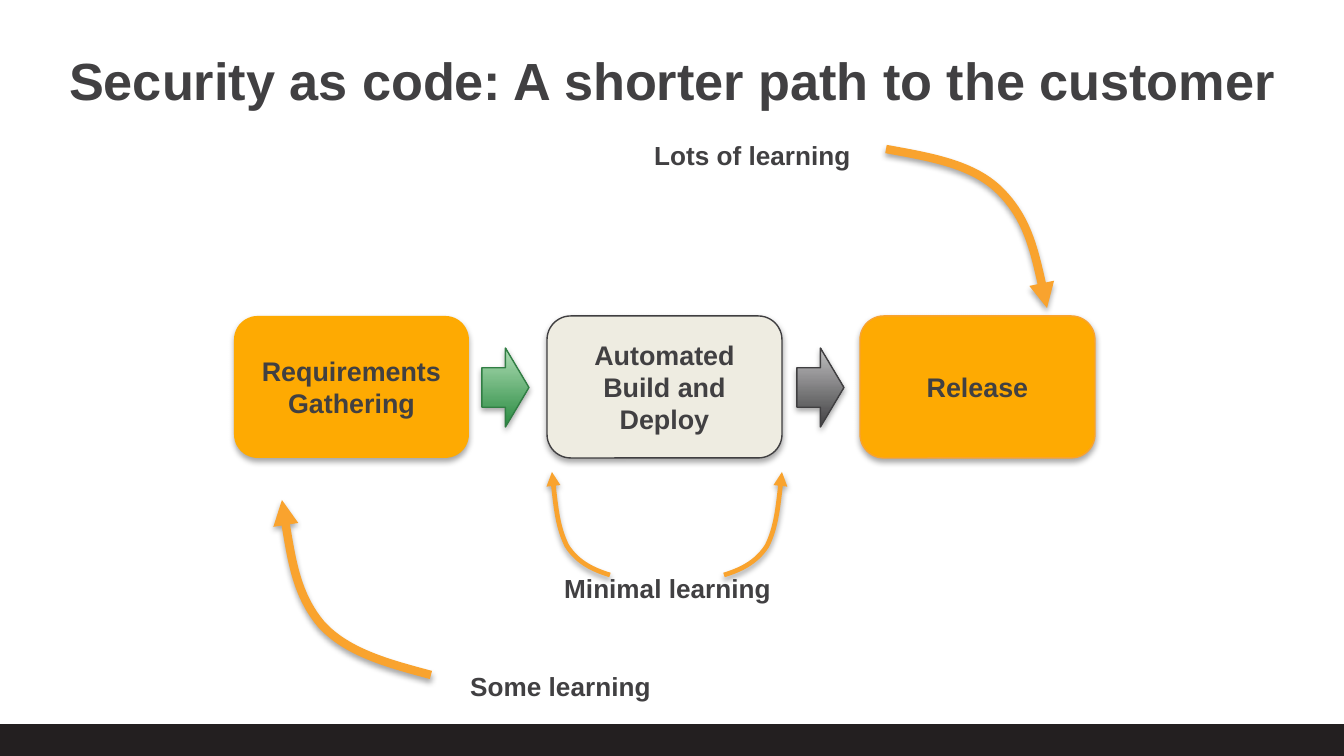
"""Build a slide showing the learning loops around an automated delivery flow."""
from typing import NamedTuple, Optional

from lxml import etree
from pptx import Presentation
from pptx import util as u
from pptx.dml.color import RGBColor
from pptx.enum import shapes, text
from pptx.oxml.ns import qn

SCALE = u.Inches(10) / 1344
INK = RGBColor(0x41, 0x40, 0x42)
EDGE = RGBColor(0x40, 0x3F, 0x41)
AMBER = RGBColor(0xFE, 0xAA, 0x02)
ORANGE = RGBColor(0xF9, 0xA3, 0x2E)
CREAM = RGBColor(0xEE, 0xEC, 0xE1)
GREEN = RGBColor(0x29, 0x8A, 0x40)
GREEN_EDGE = RGBColor(0x31, 0x7E, 0x44)
MINT = RGBColor(0xAE, 0xDD, 0xB5)
SILVER = RGBColor(0xC0, 0xC0, 0xC1)
BLACK = RGBColor(0x23, 0x1F, 0x20)

STEP_LEFT, STEP_PITCH = 234, 313
ARROW_LEFT, ARROW_PITCH = 482, 315
MIRROR_SUM = 1334


class Step(NamedTuple):
    lines: tuple
    fill: RGBColor
    edge: Optional[RGBColor]


class Arrow(NamedTuple):
    dark: RGBColor
    light: RGBColor
    edge: RGBColor


class Label(NamedTuple):
    words: str
    left: int
    top: int
    width: int


class Curve(NamedTuple):
    points: tuple
    weight: float


STEPS = (
    Step(("Requirements", "Gathering"), AMBER, None),
    Step(("Automated Build and Deploy",), CREAM, EDGE),
    Step(("Release",), AMBER, ORANGE),
)
ARROWS = (Arrow(GREEN, MINT, GREEN_EDGE), Arrow(INK, SILVER, EDGE))
LABELS = (
    Label("Some learning", 457, 664, 208),
    Label("Minimal learning", 551, 566, 235),
    Label("Lots of learning", 641, 133, 224),
)
MINIMAL = ((552, 472), (555, 500), (558, 528), (567, 546),
           (578, 563), (594, 570), (610, 575))
CURVES = (
    Curve(((282, 500), (289, 547), (297, 595), (321, 624),
           (347, 653), (390, 664), (431, 675)), 4.5),
    Curve(MINIMAL, 2.5),
    Curve(tuple((MIRROR_SUM - x, y) for x, y in MINIMAL), 2.5),
    Curve(((1047, 308), (1038, 263), (1027, 218), (1000, 191),
           (973, 164), (930, 157), (886, 149)), 4.5),
)


def px(length: int) -> int:
    """Turn pixels into EMU."""
    return round(length * SCALE)


def set_all(target, values: dict) -> None:
    """Set each named attribute on the target."""
    for name, value in values.items():
        setattr(target, name, value)


def write(frame, lines: tuple, size: float, align) -> None:
    """Write bold lines, one paragraph each."""
    for index, line in enumerate(lines):
        para = frame.add_paragraph() if index else frame.paragraphs[0]
        para.alignment = align
        span = para.add_run()
        span.text = line
        set_all(span.font, {"name": "Arial", "size": u.Pt(size), "bold": True})
        span.font.color.rgb = INK


def outline(shape, color: Optional[RGBColor], weight: float = 0.75) -> None:
    """Give the shape a solid outline, or none."""
    if color is None:
        shape.line.fill.background()
    else:
        shape.line.color.rgb = color
        shape.line.width = u.Pt(weight)


def cast_shadow(shape) -> None:
    """Add a soft shadow below the shape."""
    shape.shadow.inherit = False
    effects = shape.element.spPr.find(qn("a:effectLst"))
    shadow = etree.SubElement(effects, qn("a:outerShdw"), blurRad="40000",
                              dist="23000", dir="5400000", rotWithShape="0")
    color = etree.SubElement(shadow, qn("a:srgbClr"), val="000000")
    etree.SubElement(color, qn("a:alpha"), val="35000")


def add_block(page, kind, left: int, top: int, width: int, height: int):
    """Add a preset shape placed in pixels."""
    return page.shapes.add_shape(kind, px(left), px(top), px(width), px(height))


def add_text(page, words: str, left: int, top: int, width: int, height: int,
             size: float, **frame_format):
    """Add a left-aligned text box placed in pixels."""
    box = page.shapes.add_textbox(px(left), px(top), px(width), px(height))
    set_all(box.text_frame, frame_format)
    write(box.text_frame, (words,), size, text.PP_ALIGN.LEFT)


def add_step(page, step: Step, left: int) -> None:
    """Add one rounded step of the flow."""
    box = add_block(page, shapes.MSO_SHAPE.ROUNDED_RECTANGLE, left, 316, 235, 142)
    box.fill.solid()
    box.fill.fore_color.rgb = step.fill
    outline(box, step.edge)
    cast_shadow(box)
    set_all(box.text_frame, {"word_wrap": True,
                             "vertical_anchor": text.MSO_ANCHOR.MIDDLE})
    write(box.text_frame, step.lines, 14.4, text.PP_ALIGN.CENTER)


def add_arrow(page, arrow: Arrow, left: int) -> None:
    """Add a block arrow shaded from dark at its foot to light."""
    block = add_block(page, shapes.MSO_SHAPE.RIGHT_ARROW, left, 348, 47, 79)
    block.fill.gradient()
    block.fill.gradient_angle = 90
    for stop, color in zip(block.fill.gradient_stops, (arrow.dark, arrow.light)):
        stop.color.rgb = color
    outline(block, arrow.edge)
    cast_shadow(block)


def add_curve(page, curve: Curve) -> None:
    """Add a Bézier curve with an arrowhead at its first point."""
    start, *rest = curve.points
    builder = page.shapes.build_freeform(*start, scale=SCALE)
    builder.add_line_segments(rest, close=False)
    shape = builder.convert_to_shape()
    segments = list(shape.element.iter(qn("a:lnTo")))
    route = segments[0].getparent()
    for index, segment in enumerate(segments):
        if index % 3 == 0:
            bezier = etree.SubElement(route, qn("a:cubicBezTo"))
        bezier.append(segment[0])
        route.remove(segment)
    shape.fill.background()
    outline(shape, ORANGE, curve.weight)
    etree.SubElement(shape.element.spPr.find(qn("a:ln")), qn("a:headEnd"),
                     type="triangle")
    cast_shadow(shape)


def main() -> None:
    """Build and save the deck."""
    deck = Presentation()
    set_all(deck, {"slide_width": px(1344), "slide_height": px(756)})
    page = deck.slides.add_slide(deck.slide_layouts[6])

    footer = add_block(page, shapes.MSO_SHAPE.RECTANGLE, 0, 725, 1345, 31)
    footer.fill.solid()
    footer.fill.fore_color.rgb = BLACK
    outline(footer, BLACK)
    footer.shadow.inherit = False

    add_text(page, "Security as code: A shorter path to the customer",
             56, 35, 1250, 65, 28, word_wrap=True, margin_top=px(13), margin_right=0)
    for index, step in enumerate(STEPS):
        add_step(page, step, STEP_LEFT + index * STEP_PITCH)
    for index, arrow in enumerate(ARROWS):
        add_arrow(page, arrow, ARROW_LEFT + index * ARROW_PITCH)
    for curve in CURVES:
        add_curve(page, curve)
    for label in LABELS:
        add_text(page, label.words, label.left, label.top, label.width, 46, 14,
                 word_wrap=False)
    deck.save("out.pptx")


if __name__ == "__main__":
    main()
